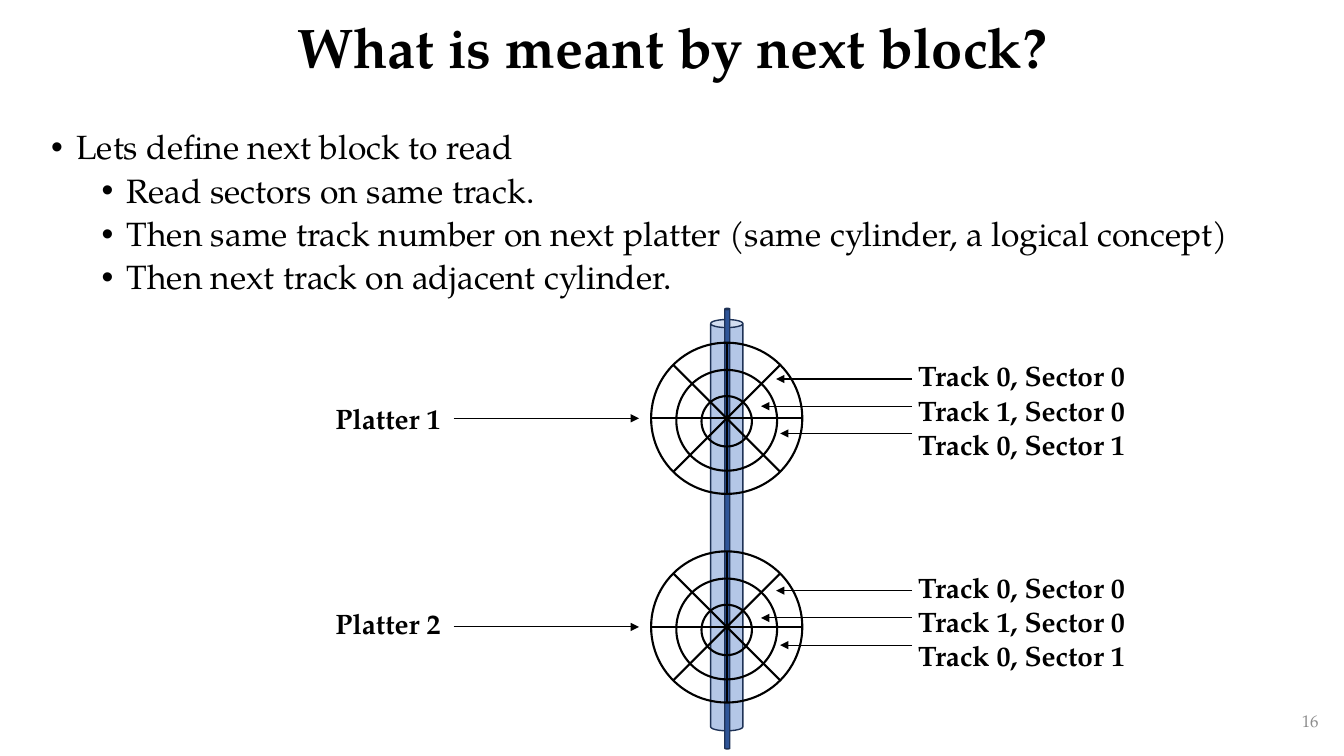
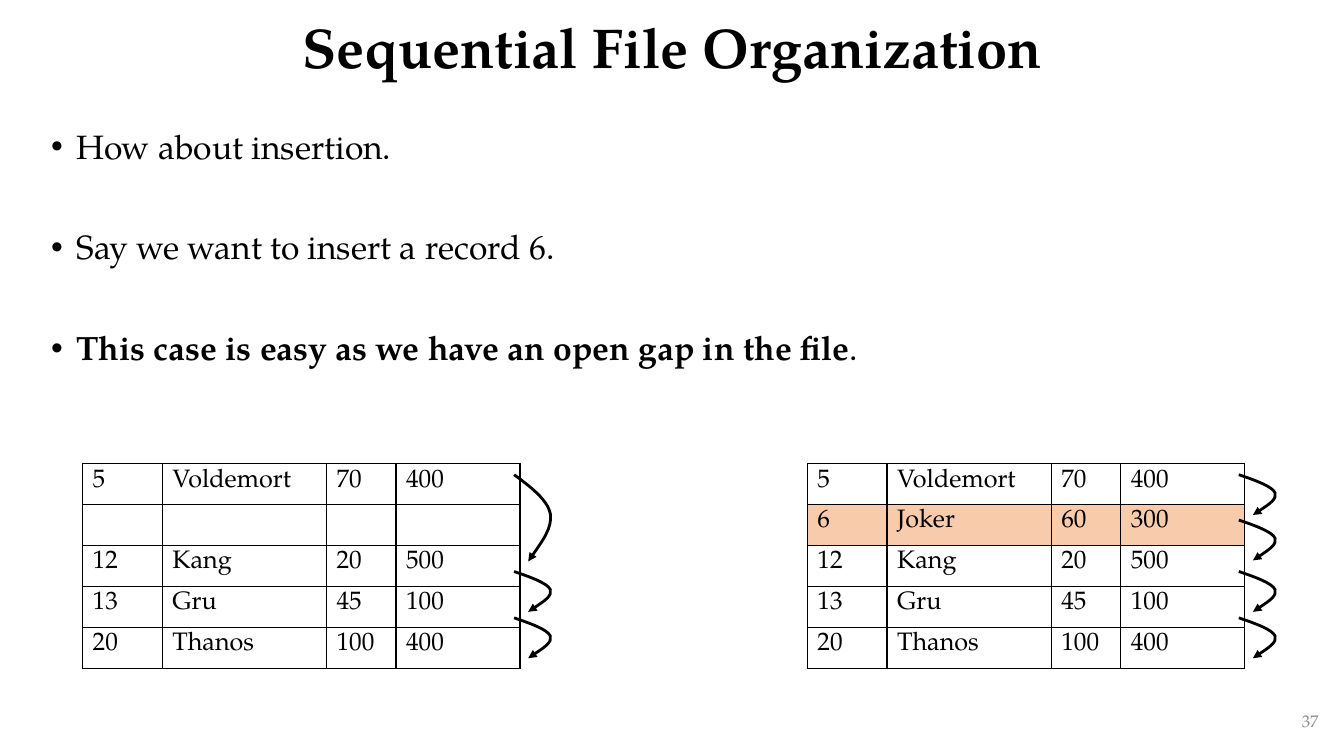
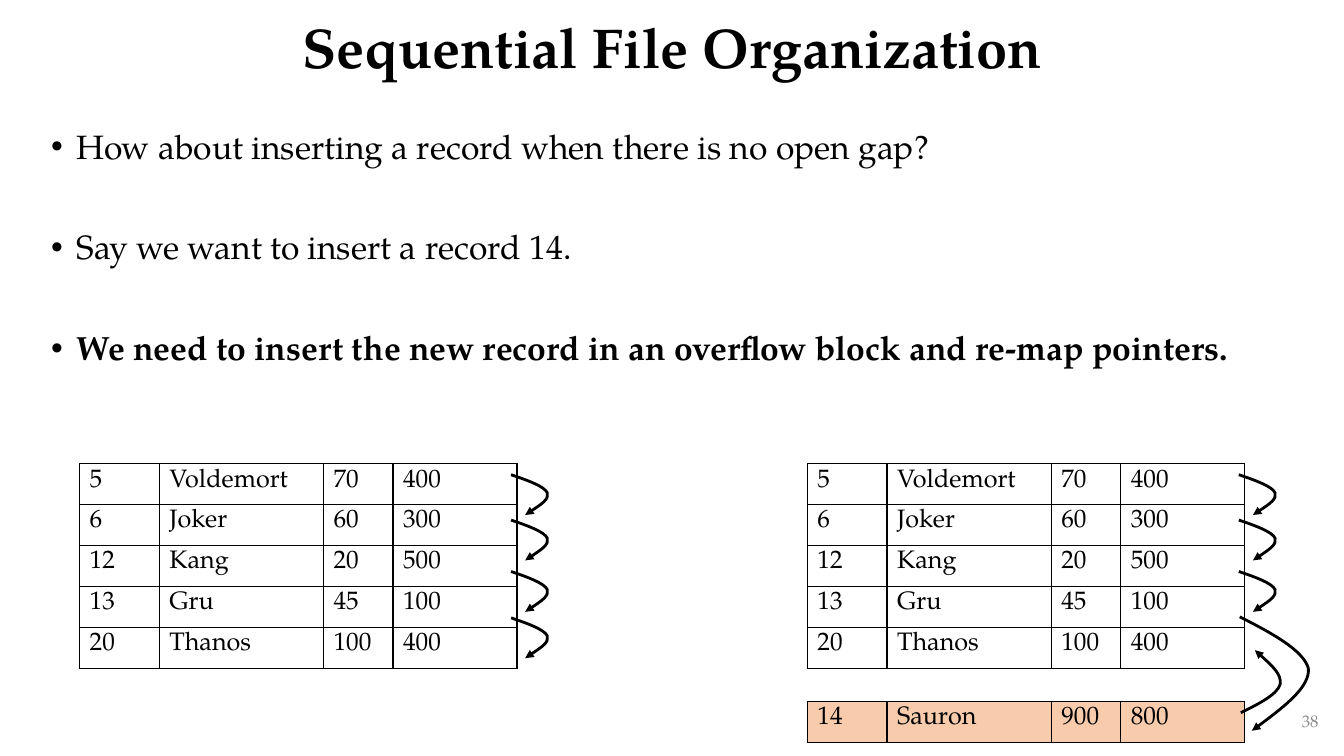
import math
from dataclasses import dataclass

from lxml import etree
from pptx import Presentation
from pptx import util as u
from pptx.dml import color
from pptx.enum import shapes, text
from pptx.oxml import ns


@dataclass(frozen=True)
class Theme:
    font: str = "TeX Gyre Pagella"
    ink: str = "000000"
    paper: str = "FFFFFF"
    muted: str = "8C8C8C"
    cylinder: str = "B4C7E7"
    rod: str = "2F5597"
    can_edge: str = "1E3256"
    highlight: str = "F8CBAD"
    title: int = 40
    body: int = 24
    label: int = 20
    cell: int = 18
    number: int = 12
    pointer: float = 2
    ring: float = 1.5
    edge: float = 1
    arrow: float = 0.75


THEME = Theme()
TITLE_BOX = (0.92, 0, 11.5, 0.99)
NUMBER_BOX = (10.18, 6.95, 3, 0.4)
COLUMNS = (0.79, 1.63, 0.69, 1.23)
TABLE_TOP = 4.6
ROW_HEIGHT = 2.03 / 5
LEFT, RIGHT = 0.82, 8.01
POINTER_X = 4.28
POINTER_TOPS = (0.11, 0.56, 1.07, 1.53)
AXIS_X = 7.21

VOLDEMORT = ("5", "Voldemort", "70", "400")
JOKER = ("6", "Joker", "60", "300")
TAIL_RECORDS = [
    ("12", "Kang", "20", "500"),
    ("13", "Gru", "45", "100"),
    ("20", "Thanos", "100", "400"),
]
FULL = [VOLDEMORT, JOKER, *TAIL_RECORDS]
GAPPED = [VOLDEMORT, ("",) * 4, *TAIL_RECORDS]


def inches(*values):
    return [u.Inches(value) for value in values]


def rgb(code):
    return color.RGBColor.from_string(code)


def assign(target, values):
    for name, value in values.items():
        setattr(target, name, value)


def child(parent, tag, **attributes):
    return etree.SubElement(parent, ns.qn(tag), attributes)


def write(para, content, size, bold=False, ink=THEME.ink):
    span = para.add_run()
    span.text = content
    assign(span.font, {"name": THEME.font, "size": u.Pt(size), "bold": bold})
    span.font.color.rgb = rgb(ink)


def text_frame(page, box, **values):
    frame = page.shapes.add_textbox(*inches(*box)).text_frame
    assign(frame, {"word_wrap": True, **values})
    return frame


def stroke(line, width, ink=THEME.ink, arrow=False):
    line.color.rgb = rgb(ink)
    line.width = u.Pt(width)
    if arrow:
        child(line._get_or_add_ln(), "a:tailEnd", type="triangle")


def straight(canvas, start, end, width, arrow=False):
    line = canvas.shapes.add_connector(
        shapes.MSO_CONNECTOR.STRAIGHT, *inches(*start, *end)
    )
    stroke(line.line, width, arrow=arrow)
    child(line._element.spPr, "a:effectLst")


def solid(canvas, kind, box, width, fill=None, ink=THEME.ink):
    shape = canvas.shapes.add_shape(kind, *inches(*box))
    shape.shadow.inherit = False
    if fill:
        shape.fill.solid()
        shape.fill.fore_color.rgb = rgb(fill)
    else:
        shape.fill.background()
    stroke(shape.line, width, ink)


def new_page(deck, title, number):
    page = deck.slides.add_slide(deck.slide_layouts[6])
    middle = {"vertical_anchor": text.MSO_ANCHOR.MIDDLE}
    para = text_frame(page, TITLE_BOX, **middle).paragraphs[0]
    assign(para, {"alignment": text.PP_ALIGN.CENTER, "line_spacing": 0.9})
    write(para, title, THEME.title, bold=True)
    para = text_frame(page, NUMBER_BOX, **middle).paragraphs[0]
    para.alignment = text.PP_ALIGN.RIGHT
    write(para, number, THEME.number, ink=THEME.muted)
    return page


def bullets(page, box, items):
    frame = text_frame(page, box)
    for index, (level, space, spans) in enumerate(items):
        para = frame.add_paragraph() if index else frame.paragraphs[0]
        assign(para, {
            "alignment": text.PP_ALIGN.JUSTIFY,
            "level": level,
            "line_spacing": 0.9,
            "space_before": u.Pt(space),
        })
        props = para._p.get_or_add_pPr()
        props.set("marL", str(u.Inches(0.25 + 0.5 * level)))
        props.set("indent", str(u.Inches(-0.25)))
        child(props, "a:buFont", typeface="Arial")
        child(props, "a:buChar", char="•")
        for content, bold in spans:
            write(para, content, THEME.body, bold)


def label(page, left, top, width, content):
    frame = text_frame(
        page, (left, top, width, 0.44),
        word_wrap=False, auto_size=text.MSO_AUTO_SIZE.SHAPE_TO_FIT_TEXT,
    )
    write(frame.paragraphs[0], content, THEME.label, bold=True)


def platter(page, center_x, center_y, radius):
    group = page.shapes.add_group_shape()
    for share, drop in ((2 / 3, 0.02), (1, 0), (1 / 3, 0.03)):
        ring = radius * share
        box = (center_x - ring, center_y + drop - ring, 2 * ring, 2 * ring)
        solid(group, shapes.MSO_SHAPE.OVAL, box, THEME.ring)
    for step in range(4):
        dx = radius * math.cos(step * math.pi / 4)
        dy = radius * math.sin(step * math.pi / 4)
        straight(group, (center_x - dx, center_y - dy),
                 (center_x + dx, center_y + dy), THEME.ring)


def callouts(page, left, top):
    rows = (("Track 0, Sector 0", 7.7), ("Track 1, Sector 0", 7.55),
            ("Track 0, Sector 1", 7.74))
    for index, (content, tip) in enumerate(rows):
        y = top + 0.25 + 0.27 * index
        straight(page, (left + 0.04, y), (tip, y), THEME.arrow, arrow=True)
        label(page, left, top + 0.34 * index, 2.27, content)


def disk_page(deck):
    page = new_page(deck, "What is meant by next block?", "16")
    for box, fill in (((7.05, 3.17, 0.32, 4.08), THEME.cylinder),
                      ((7.19, 3.06, 0.05, 4.37), THEME.rod)):
        solid(page, shapes.MSO_SHAPE.CAN, box, THEME.edge, fill, THEME.can_edge)
    lines = (
        "Read sectors on same track.",
        "Then same track number on next platter (same cylinder, a logical concept)",
        "Then next track on adjacent cylinder.",
    )
    bullets(page, (0.41, 1.25, 12.92, 2.24), [
        (0, 10, [("Lets define next block to read", False)]),
        *((1, 5, [(line, False)]) for line in lines),
    ])
    for name, center, caption_top, callout_top in (
        ("Platter 1", 4.15, 3.93, 3.51), ("Platter 2", 6.22, 5.97, 5.61)
    ):
        platter(page, AXIS_X, center, 0.75)
        straight(page, (4.5, center), (6.34, center), THEME.arrow, arrow=True)
        label(page, 3.23, caption_top, 1.25, name)
        callouts(page, 9.01, callout_top)


def bend(curve):
    outline = next(curve._element.iter(ns.qn("a:path")))
    segments = outline.findall(ns.qn("a:lnTo"))
    for start in range(0, len(segments), 3):
        cubic = etree.Element(ns.qn("a:cubicBezTo"))
        segments[start].addprevious(cubic)
        for segment in segments[start:start + 3]:
            cubic.append(segment[0])
            outline.remove(segment)


def pointer(page, left, top, height=0.4, bulge=0.36, end=0.14):
    shares = (
        (0, 0), (0.46 * bulge, 0.14), (0.92 * bulge, 0.29), (bulge, 0.45),
        (bulge + 0.02, 0.61), (end + 0.55 * (bulge - end), 0.8), (end, 1),
    )
    knots = [inches(left + dx, top + height * share) for dx, share in shares]
    builder = page.shapes.build_freeform(*knots[0])
    builder.add_line_segments(knots[1:], close=False)
    curve = builder.convert_to_shape()
    bend(curve)
    curve.shadow.inherit = False
    curve.fill.background()
    stroke(curve.line, THEME.pointer, arrow=True)


def border(cell):
    props = cell._tc.get_or_add_tcPr()
    for side in ("a:lnL", "a:lnR", "a:lnT", "a:lnB"):
        line = child(props, side, w=str(u.Pt(THEME.edge)))
        child(child(line, "a:solidFill"), "a:srgbClr", val=THEME.ink)


def records(page, left, top, rows, marked=None):
    box = inches(left, top, sum(COLUMNS), ROW_HEIGHT * len(rows))
    table = page.shapes.add_table(len(rows), len(COLUMNS), *box).table
    assign(table, {"first_row": False, "horz_banding": False})
    for column, width in zip(table.columns, COLUMNS):
        column.width = u.Inches(width)
    for index, values in enumerate(rows):
        table.rows[index].height = u.Inches(ROW_HEIGHT)
        for cell, value in zip(table.rows[index].cells, values):
            border(cell)
            cell.fill.solid()
            fill = THEME.highlight if index == marked else THEME.paper
            cell.fill.fore_color.rgb = rgb(fill)
            if value:
                write(cell.text_frame.paragraphs[0], value, THEME.cell)


def linked_records(page, left, rows, hops, marked=None):
    records(page, left, TABLE_TOP, rows, marked)
    for index, height in hops:
        pointer(page, left + POINTER_X, TABLE_TOP + POINTER_TOPS[index], height)


def file_page(deck, number, items):
    page = new_page(deck, "Sequential File Organization", number)
    bullets(page, (0.41, 1.24, 12.92, 5.38), [
        (0, 46 if index else 10, spans) for index, spans in enumerate(items)
    ])
    return page


def main():
    deck = Presentation()
    deck.slide_width, deck.slide_height = inches(40 / 3, 7.5)
    every_hop = [(index, 0.4) for index in range(4)]

    disk_page(deck)

    page = file_page(deck, "37", [
        [("How about insertion.", False)],
        [("Say we want to insert a record 6.", False)],
        [("This case is easy as we have an open gap in the file", True),
         (".", False)],
    ])
    linked_records(page, LEFT, GAPPED, [(0, 0.86), *every_hop[2:]])
    linked_records(page, RIGHT, FULL, every_hop, marked=1)

    page = file_page(deck, "38", [
        [("How about inserting a record when there is no open gap?", False)],
        [("Say we want to insert a record 14.", False)],
        [("We need to insert the new record in an overflow block "
          "and re-map pointers.", True)],
    ])
    linked_records(page, RIGHT, FULL, every_hop[:3])
    linked_records(page, LEFT - 0.03, FULL, every_hop)
    records(page, RIGHT, 6.96, [("14", "Sauron", "900", "800")], marked=0)
    pointer(page, 12.3, 6.12, 1.13, bulge=0.68, end=0.12)
    pointer(page, 12.31, 7.07, -0.62, bulge=0.39, end=0.14)

    deck.save("out.pptx")


if __name__ == "__main__":
    main()
